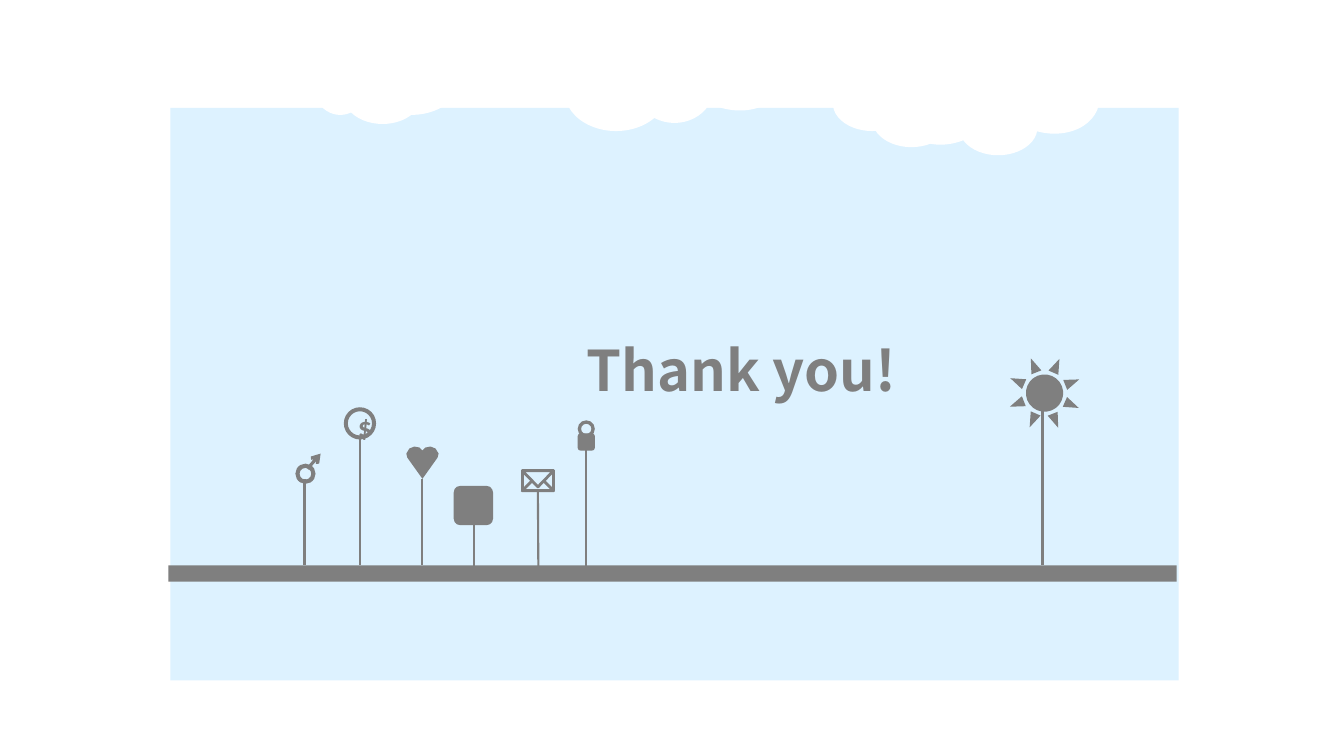
from pptx import Presentation
from pptx.dml.color import RGBColor as RGB
from pptx.enum.shapes import MSO_CONNECTOR as Link, MSO_SHAPE as Kind
from pptx.enum.text import MSO_ANCHOR as Anchor, PP_ALIGN as Align
from pptx.oxml.ns import qn
from pptx.util import Inches, Pt
from lxml.etree import SubElement

COLORS = {"sky": "DDF2FF", "gray": "7F7F7F", "cloud": "FFFFFF"}

CLOUDS = [
    (2.87, 0.44, 0.55, 0.47, 0), (3.1, 0.52, 0.55, 0.62, 0),
    (3.41, 0.68, 0.77, 0.55, 0), (3.57, 0.36, 1.02, 0.78, 0),
    (5.13, 0.44, 0.78, 0.55, 0), (6.77, 0.31, 1.02, 0.78, 12.7),
    (5.6, 0.52, 1.02, 0.78, 0), (6.3, 0.52, 0.78, 0.7, 0),
    (8.65, 0.91, 0.78, 0.55, 0), (9.89, 0.54, 1.02, 0.78, 12.7),
    (8.92, 0.63, 1.02, 0.78, 334.2), (9.66, 0.44, 0.78, 0.7, 34.8),
    (9.51, 0.99, 0.78, 0.55, 0), (8.26, 0.75, 0.78, 0.55, 0),
]
RODS = [(3.02, 4.75, 5.61), (3.57, 4.36, 5.61), (10.34, 4.04, 5.61),
        (4.19, 4.75, 5.61), (4.7, 5.16, 5.67), (5.81, 4.43, 5.64)]
HEART = [(0.03, 0.01), (0.08, 0), (0.13, 0.02), (0.16, 0.07), (0.15, 0.11)]


def color(name):
    """Return a named colour."""
    return RGB.from_string(COLORS[name])


def paint(shape, fill="gray", line=None):
    """Set the fill and the outline of a shape."""
    shape.shadow.inherit = False
    if fill:
        shape.fill.solid()
        shape.fill.fore_color.rgb = color(fill)
    else:
        shape.fill.background()
    if line:
        shape.line.color.rgb = color("gray")
        shape.line.width = Pt(line)
    else:
        shape.line.fill.background()
    return shape


def draw(shapes, kind, box, fill="gray", line=None, turn=0, adj=None):
    """Add a preset shape."""
    shape = shapes.add_shape(kind, *map(Inches, box))
    shape.rotation = turn
    if adj is not None:
        shape.adjustments[0] = adj
    return paint(shape, fill, line)


def link(shapes, start, end, width=1.5, arrow=False):
    """Add a straight gray line."""
    line = shapes.add_connector(Link.STRAIGHT, *map(Inches, start + end))
    line.line.color.rgb = color("gray")
    line.line.width = Pt(width)
    props = line._element.spPr
    SubElement(props, qn("a:effectLst"))
    if arrow:
        SubElement(props.find(qn("a:ln")), qn("a:tailEnd"), type="arrow")
    return line


def write(frame, text, font, size, align):
    """Write one bold gray run."""
    para = frame.paragraphs[0]
    para.alignment = align
    run = para.add_run()
    run.text = text
    run.font.name = font
    run.font.size = Pt(size)
    run.font.bold = True
    run.font.color.rgb = color("gray")


def heart(shapes, mid, top):
    """Add a heart mirrored about its middle."""
    left = [(-x, y) for x, y in reversed(HEART)]
    points = [(0, 0.04)] + HEART + [(0, 0.32)] + left
    spots = [(Inches(mid + x), Inches(top + y)) for x, y in points]
    form = shapes.build_freeform(*spots[0])
    form.add_line_segments(spots[1:], close=True)
    paint(form.convert_to_shape())


def male(shapes):
    """Add the ring with an arrow."""
    group = shapes.add_group_shape().shapes
    draw(group, Kind.DONUT, (2.93, 4.6, 0.2, 0.2), adj=0.21)
    link(group, (3.05, 4.65), (3.18, 4.5), 2.25, arrow=True)


def coin(shapes):
    """Add the ring with a dollar sign."""
    ring = draw(shapes, Kind.DONUT, (3.41, 4.04, 0.32, 0.32), adj=0.125)
    frame = ring.text_frame
    frame.word_wrap = False
    frame.vertical_anchor = Anchor.MIDDLE
    frame.margin_left, frame.margin_top = Inches(0.1), Inches(0.06)
    frame.margin_right = frame.margin_bottom = 0
    write(frame, "$", "Calibri", 20, Align.CENTER)


def mail(shapes):
    """Add the envelope and its rod."""
    group = shapes.add_group_shape().shapes
    body = draw(group, Kind.RECTANGLE, (5.18, 4.67, 0.31, 0.2), None, 2)
    draw(group, Kind.ISOSCELES_TRIANGLE, (5.18, 4.71, 0.31, 0.16), None, 2)
    draw(group, Kind.ISOSCELES_TRIANGLE, (5.18, 4.67, 0.31, 0.16), "sky", 2, 180)
    rod = link(shapes, (5.34, 4.87), (5.34, 5.68))
    rod.begin_connect(body, 2)


def lock(shapes):
    """Add the padlock."""
    group = shapes.add_group_shape().shapes
    draw(group, Kind.DONUT, (5.73, 4.17, 0.17, 0.17), adj=0.2)
    draw(group, Kind.FLOWCHART_ALTERNATE_PROCESS, (5.73, 4.3, 0.17, 0.17))


def title(slide):
    """Place the title in front of the scene."""
    head = slide.shapes.title
    head.left, head.top = Inches(5.72), Inches(3.28)
    head.width, head.height = Inches(4.07), Inches(0.77)
    head.text_frame.word_wrap = True
    head.text_frame.vertical_anchor = Anchor.MIDDLE
    write(head.text_frame, "Thank you!", "Noto Sans CJK SC", 40, Align.JUSTIFY)
    slide.shapes._spTree.append(head._element)


def main():
    """Build the closing slide."""
    deck = Presentation()
    deck.slide_width, deck.slide_height = Inches(13.33), Inches(7.5)
    slide = deck.slides.add_slide(deck.slide_layouts[5])
    shapes = slide.shapes
    draw(shapes, Kind.RECTANGLE, (1.69, 1.07, 10, 5.68), "sky")
    draw(shapes, Kind.RECTANGLE, (1.67, 5.61, 10, 0.16))
    for *box, turn in CLOUDS:
        draw(shapes, Kind.OVAL, box, "cloud", turn=turn)
    for x, top, base in RODS:
        link(shapes, (x, top), (x, base))
    male(shapes)
    coin(shapes)
    heart(shapes, 4.19, 4.43)
    draw(shapes, Kind.FLOWCHART_ALTERNATE_PROCESS, (4.5, 4.82, 0.39, 0.39))
    mail(shapes)
    lock(shapes)
    draw(shapes, Kind.SUN, (9.99, 3.53, 0.74, 0.74), turn=23.5, adj=0.25)
    title(slide)
    deck.save("out.pptx")


if __name__ == "__main__":
    main()
